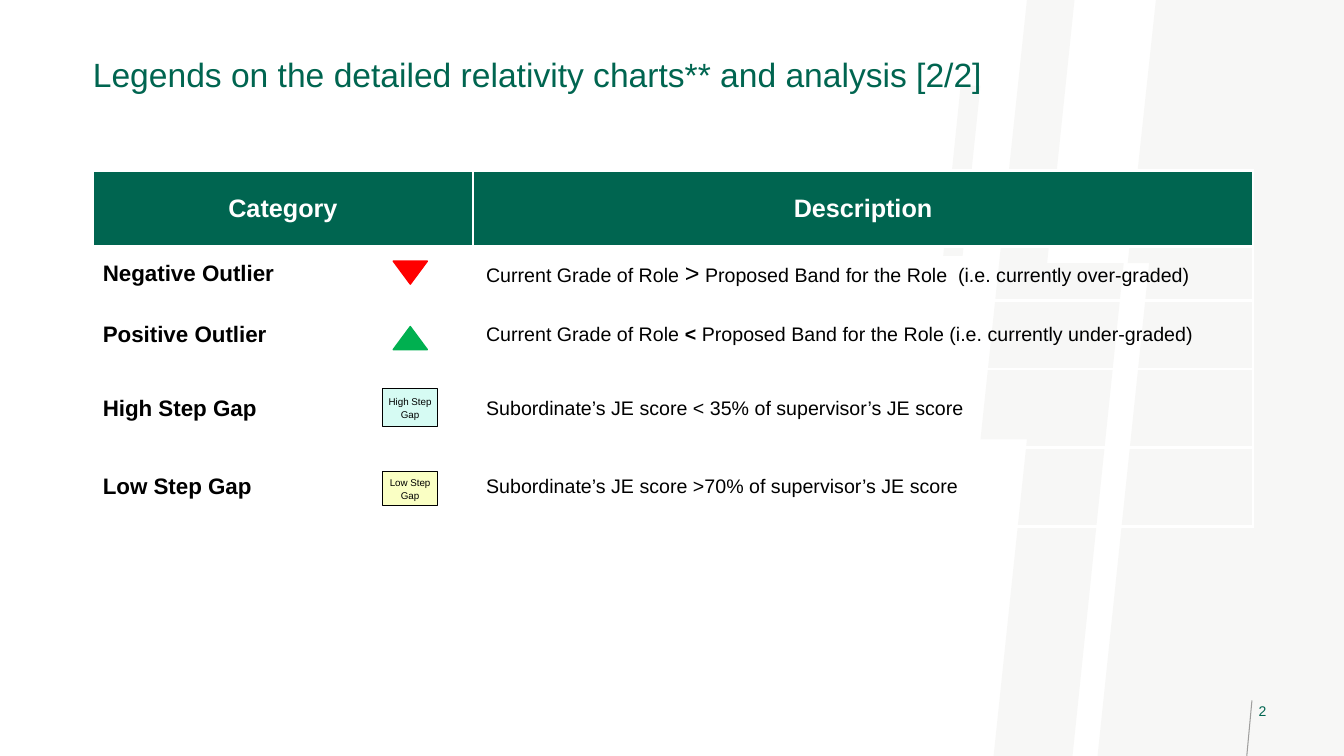
from dataclasses import dataclass

from lxml import etree
from pptx import Presentation
from pptx.dml.color import RGBColor
from pptx.enum.shapes import MSO_CONNECTOR, MSO_SHAPE
from pptx.enum.text import MSO_ANCHOR, MSO_AUTO_SIZE, PP_ALIGN
from pptx.oxml.ns import qn
from pptx.util import Cm, Pt

STRAIGHT = MSO_CONNECTOR.STRAIGHT
TRIANGLE = MSO_SHAPE.ISOSCELES_TRIANGLE
PROCESS = MSO_SHAPE.FLOWCHART_PROCESS
TOP, MIDDLE = MSO_ANCHOR.TOP, MSO_ANCHOR.MIDDLE
LEFT, CENTER = PP_ALIGN.LEFT, PP_ALIGN.CENTER
NO_FIT = MSO_AUTO_SIZE.NONE


@dataclass(frozen=True)
class Theme:
    font: str = "Arial"
    green: str = "006550"
    white: str = "FFFFFF"
    black: str = "000000"
    band: str = "DBD9D6"
    rule: str = "9F9E9D"
    negative: str = "FF0000"
    positive: str = "00B050"
    high_gap: str = "D6FBF3"
    low_gap: str = "FAFFC4"
    title_size: int = 24
    header_size: int = 18
    category_size: int = 16
    body_size: int = 14
    number_size: int = 10
    label_size: int = 7


theme = Theme()


def write(frame, spans, color, align=LEFT, spacing=1.0):
    """Fill the first paragraph with (text, size, bold) spans."""
    para = frame.paragraphs[0]
    para.alignment, para.line_spacing = align, spacing
    for text, size, bold in spans:
        span = para.add_run()
        span.text = text
        for name, value in {"name": theme.font, "size": Pt(size), "bold": bold}.items():
            setattr(span.font, name, value)
        span.font.color.rgb = RGBColor.from_string(color)


def set_frame(frame, left, right, anchor):
    settings = {"margin_left": Cm(left), "margin_right": Cm(right), "margin_top": 0,
                "margin_bottom": 0, "word_wrap": True, "auto_size": NO_FIT,
                "vertical_anchor": anchor}
    for name, value in settings.items():
        setattr(frame, name, value)


deck = Presentation()
deck.slide_width, deck.slide_height = Cm(33.87), Cm(19.05)
page = deck.slides.add_slide(deck.slide_layouts[5])

# Slanted background bands
bands = [
    [(24.26, 6.45), (24.71, 2.16), (24.21, 2.16), (23.77, 6.45)],
    [(33.87, 19.05), (33.87, 0), (29.13, 0), (28.42, 6.63), (28.96, 6.63), (27.66, 19.05)],
    [(27.03, 19.05), (28.32, 6.63), (26.39, 6.63), (27.08, 0), (25.88, 0),
     (24.71, 11.07), (25.88, 11.07), (25.04, 19.05)],
]
for outline in bands:
    points = [(Cm(x), Cm(y)) for x, y in outline]
    builder = page.shapes.build_freeform(*points[0])
    builder.add_line_segments(points[1:], close=True)
    band = builder.convert_to_shape()
    band.shadow.inherit = False
    band.line.fill.background()
    band.fill.solid()
    band.fill.fore_color.rgb = RGBColor.from_string(theme.band)
    color = band.fill._xPr.find(qn("a:solidFill"))[0]
    etree.SubElement(color, qn("a:alpha"), val="20000")

# Rule beside the page number
rule = page.shapes.add_connector(STRAIGHT, Cm(31.55), Cm(17.65), Cm(31.42), Cm(19.05))
rule.line.color.rgb = RGBColor.from_string(theme.rule)
rule.line.width = Pt(0.75)
etree.SubElement(rule._element.spPr, qn("a:effectLst"))

# Title, raised above the bands
title = page.shapes.title
title.left, title.top, title.width, title.height = Cm(2.34), Cm(1.47), Cm(30.12), Cm(1.85)
page.shapes._spTree.append(title._element)
set_frame(title.text_frame, 0, 0, TOP)
write(title.text_frame,
      [("Legends on the detailed relativity charts** and analysis [2/2]", theme.title_size, False)],
      theme.green, spacing=0.9)

# Legend table: category and description spans
body = theme.body_size
legend = [
    ("Negative Outlier", [("Current Grade of Role ", body, False), (">", theme.header_size, False),
                          (" Proposed Band for the Role  (i.e. currently over-graded)", body, False)]),
    ("Positive Outlier", [("Current Grade of Role ", body, False), ("< ", body, True),
                          ("Proposed Band for the Role (i.e. currently under-graded)", body, False)]),
    ("High Step Gap", [("Subordinate’s JE score < 35% of supervisor’s JE score", body, False)]),
    ("Low Step Gap", [("Subordinate’s JE score >70% of supervisor’s JE score", body, False)]),
]
rows = [[[(text, theme.header_size, True)] for text in ("Category", "Description")]]
rows += [[[(category, theme.category_size, True)], spans] for category, spans in legend]
widths = [9.58, 19.66]
heights = [1.93, 1.35, 1.73, 1.98, 1.98]
indents = [0.25, 0.33]

table = page.shapes.add_table(len(rows), len(widths), Cm(2.34), Cm(4.29),
                              Cm(sum(widths)), Cm(sum(heights))).table
table.horz_banding = False
for column, width in zip(table.columns, widths):
    column.width = Cm(width)
for row_index, (row, height) in enumerate(zip(rows, heights)):
    table.rows[row_index].height = Cm(height)
    header = row_index == 0
    for column_index, spans in enumerate(row):
        cell = table.cell(row_index, column_index)
        margins = {"margin_left": Cm(0 if header else indents[column_index]), "margin_right": 0,
                   "margin_top": 0, "margin_bottom": 0, "vertical_anchor": MIDDLE}
        for name, value in margins.items():
            setattr(cell, name, value)
        properties = cell._tc.get_or_add_tcPr()
        for side in ("a:lnL", "a:lnR", "a:lnT", "a:lnB"):
            border = etree.SubElement(properties, qn(side), w=str(Pt(2.25)))
            paint = etree.SubElement(border, qn("a:solidFill"))
            etree.SubElement(paint, qn("a:srgbClr"), val=theme.white)
        if header:
            cell.fill.solid()
            cell.fill.fore_color.rgb = RGBColor.from_string(theme.green)
        else:
            cell.fill.background()
        write(cell.text_frame, spans, theme.white if header else theme.black,
              CENTER if header else LEFT)

# Legend symbols: shape, left, top, width, height, turn, fill, line, line width, label
symbols = [
    (TRIANGLE, 9.91, 6.58, 0.86, 0.58, 180, theme.negative, theme.negative, 1, ""),
    (TRIANGLE, 9.91, 8.23, 0.86, 0.58, 0, theme.positive, theme.positive, 1, ""),
    (PROCESS, 9.65, 9.78, 1.37, 0.97, 0, theme.high_gap, theme.black, 0.75, "High Step Gap"),
    (PROCESS, 9.65, 11.89, 1.37, 0.84, 0, theme.low_gap, theme.black, 0.75, "Low Step Gap"),
]
for kind, left, top, width, height, turn, fill, line, weight, label in symbols:
    symbol = page.shapes.add_shape(kind, Cm(left), Cm(top), Cm(width), Cm(height))
    symbol.shadow.inherit = False
    symbol.rotation = turn
    symbol.fill.solid()
    symbol.fill.fore_color.rgb = RGBColor.from_string(fill)
    symbol.line.color.rgb = RGBColor.from_string(line)
    symbol.line.width = Pt(weight)
    if label:
        set_frame(symbol.text_frame, 0.03, 0.03, MIDDLE)
        write(symbol.text_frame, [(label, theme.label_size, False)], theme.black, CENTER, 1.1)

# Page number
number = page.shapes.add_textbox(Cm(31.52), Cm(17.65), Cm(1.4), Cm(0.64))
set_frame(number.text_frame, 0.2, 0, TOP)
write(number.text_frame, [("2", theme.number_size, False)], theme.green, spacing=1.1)

deck.save("out.pptx")
